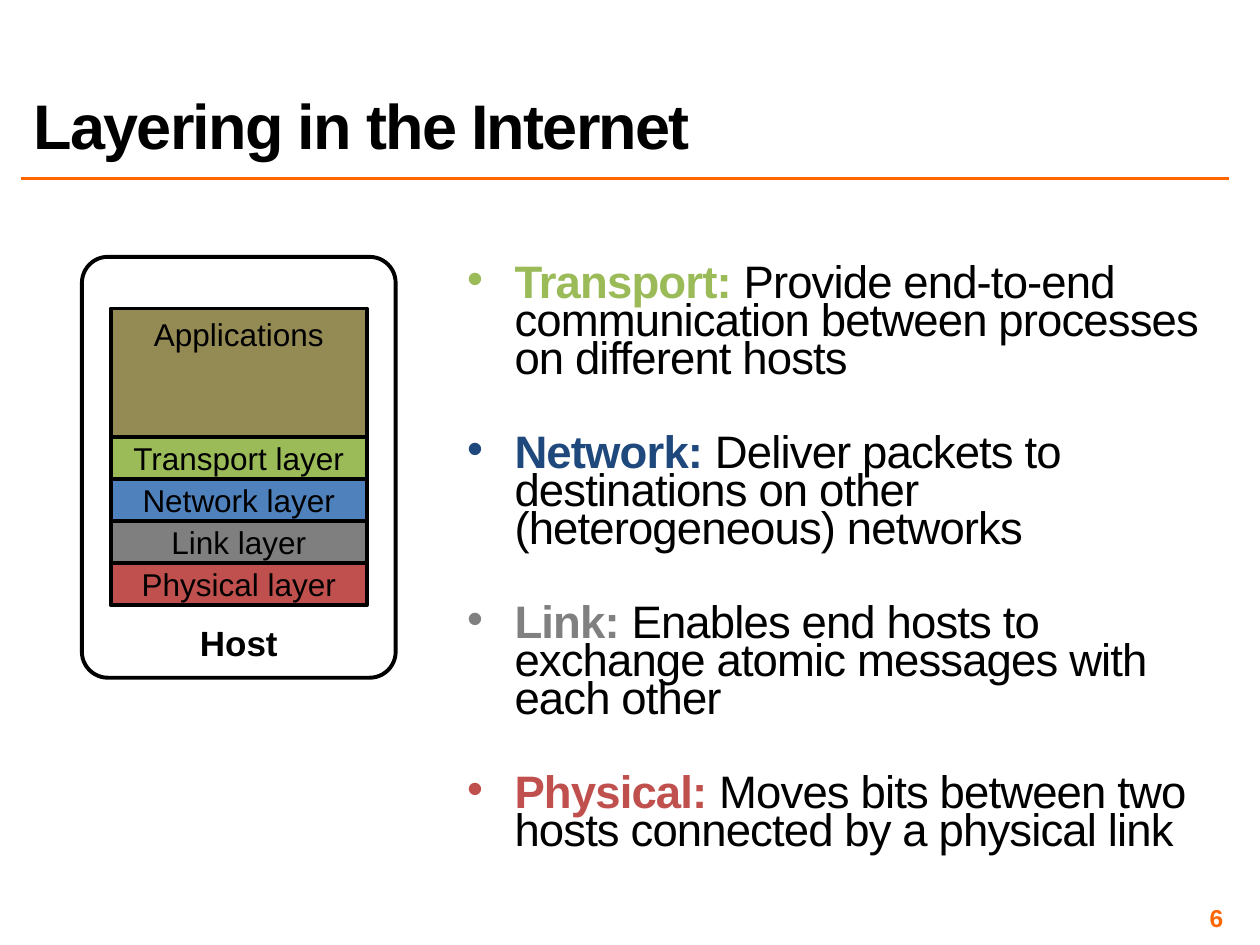
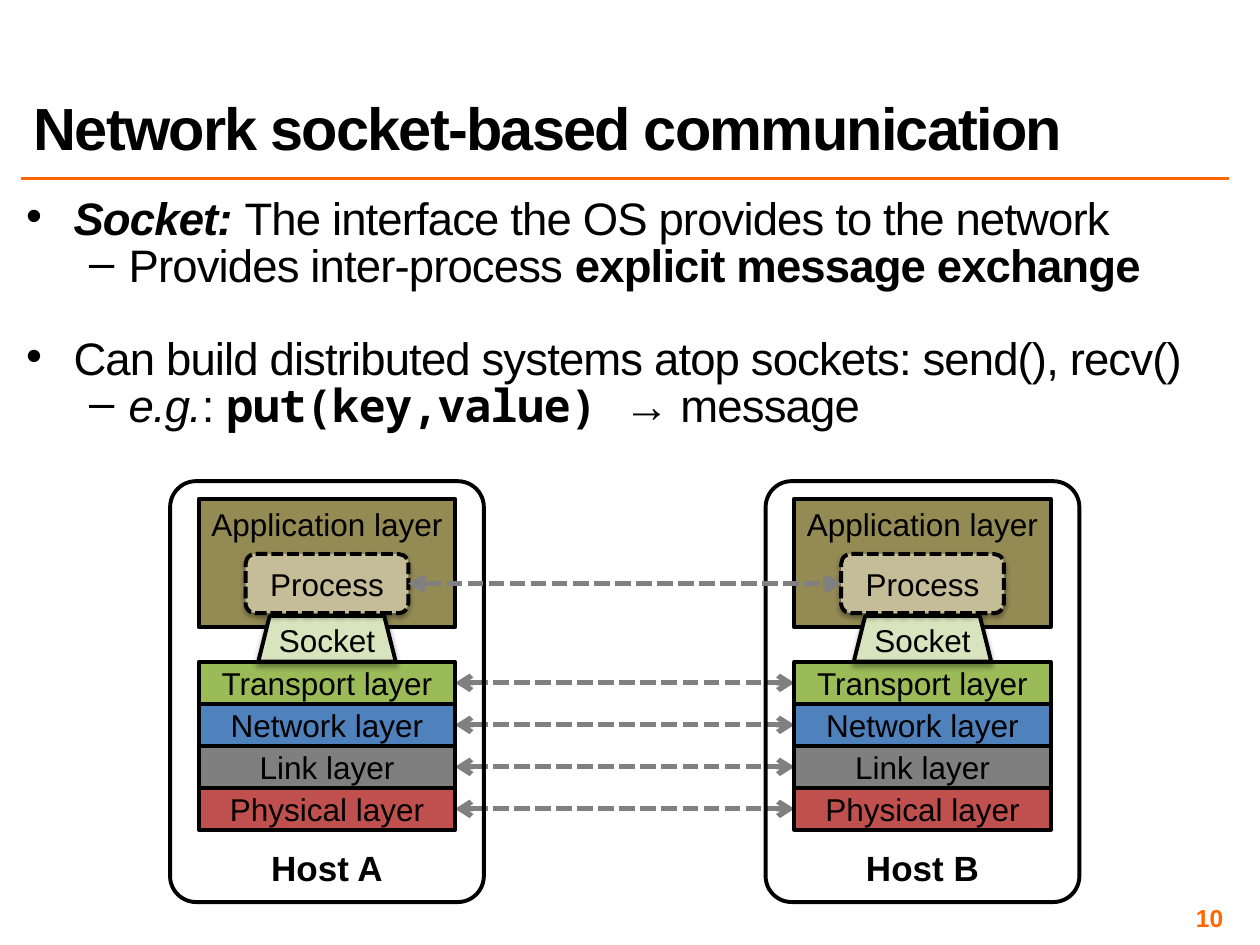
import pptx
import pptx.dml.color
import pptx.enum.dml
import pptx.enum.shapes
import pptx.enum.text
import pptx.oxml
import pptx.oxml.ns
import pptx.util

Pt = pptx.util.Pt
SHAPE = pptx.enum.shapes.MSO_SHAPE
ALIGN = pptx.enum.text.PP_ALIGN
ANCHOR = pptx.enum.text.MSO_ANCHOR
SYSTEM_DASH = pptx.enum.dml.MSO_LINE.SQUARE_DOT

BLACK, ORANGE, ARROW_GREY = "000000", "FF6600", "808080"
APPLICATION, PROCESS, SOCKET = "948A54", "C4BD97", "D7E4BD"
LAYERS = [
    ("Transport layer", "9BBB59"),
    ("Network layer", "4F81BD"),
    ("Link layer", "7F7F7F"),
    ("Physical layer", "C0504D"),
]

LAYER_ROLES = [
    (0, [("Transport:", {"bold": True, "color": "9BBB59"}),
         (" Provide end-to-end communication between processes on different hosts", {})]),
    (0, [("Network:", {"bold": True, "color": "1F497D"}),
         (" Deliver packets to destinations on other (heterogeneous) networks", {})]),
    (0, [("Link: ", {"bold": True, "color": "808080"}),
         ("Enables end hosts to exchange atomic messages with each other", {})]),
    (0, [("Physical:", {"bold": True, "color": "C0504D"}),
         (" Moves bits between two hosts connected by a physical link", {})]),
]
SOCKET_POINTS = [
    (0, [("Socket: ", {"bold": True, "italic": True}),
         ("The interface the OS provides to the network", {})]),
    (1, [("Provides inter-process ", {}),
         ("explicit message exchange", {"bold": True})]),
    (0, [("Can build distributed systems atop sockets: send(), recv()", {})]),
    (1, [("e.g.", {"italic": True}),
         (": ", {}),
         ("put(key,value) ", {"bold": True, "font": "Noto Sans Mono"}),
         ("→ message", {})]),
]

BULLETS = [("•", 27, -27), ("–", 58.5, -22.5)]
LINE_GAP, GROUP_GAP = 4.9, 31.7
MARGIN, CONTENT_WIDTH, BODY_TOP = 12, 690, 114
HOST_WIDTH, HOST_HEIGHT = 179.3, 240.5
STACK_WIDTH, APPLICATION_HEIGHT, LAYER_HEIGHT = 146.4, 73.5, 24


def rgb(color):
    return pptx.dml.color.RGBColor.from_string(color)


def xml(markup):
    return pptx.oxml.parse_xml(markup.replace("/>", f" {pptx.oxml.ns.nsdecls('a')}/>", 1)
                               if markup.endswith("/>") and markup.count("<") == 1
                               else markup.replace(">", f" {pptx.oxml.ns.nsdecls('a')}>", 1))


def add_run(paragraph, text, size, color=BLACK, bold=False, italic=False,
            font="Arial", spacing=0):
    run = paragraph.add_run()
    run.text = text
    run.font.size = Pt(size)
    run.font.name = font
    run.font.bold = bold
    run.font.italic = italic
    run.font.color.rgb = rgb(color)
    if spacing:
        run.font._element.set("spc", str(spacing))


def place(shape, left, top, width, height):
    shape.left, shape.top, shape.width, shape.height = map(Pt, (left, top, width, height))


def set_insets(frame, inset):
    frame.margin_left = frame.margin_right = Pt(inset)
    frame.margin_top = frame.margin_bottom = Pt(inset)


def add_line(slide, color, width, ends=(0, 0, 0, 0)):
    line = slide.shapes.add_connector(pptx.enum.shapes.MSO_CONNECTOR.STRAIGHT, *map(Pt, ends))
    line.line.color.rgb = rgb(color)
    line.line.width = Pt(width)
    line.element.spPr.append(xml("<a:effectLst/>"))
    return line


def add_exchange(slide, first, second, behind=None):
    arrow = add_line(slide, ARROW_GREY, 3)
    arrow.begin_connect(first, 3)
    arrow.end_connect(second, 1)
    arrow.line.dash_style = SYSTEM_DASH
    outline = arrow.element.spPr.find(pptx.oxml.ns.qn("a:ln"))
    for end in ("headEnd", "tailEnd"):
        outline.append(xml(f'<a:{end} type="arrow"/>'))
    if behind is not None:
        behind.element.addprevious(arrow.element)


def add_box(slide, kind, area, text, fill=None, size=18, bold=False,
            anchor=ANCHOR.MIDDLE, wrap=False, raised=False):
    box = slide.shapes.add_shape(kind, *map(Pt, area))
    box.shadow.inherit = False
    if raised:
        effects = box.element.spPr.find(pptx.oxml.ns.qn("a:effectLst"))
        effects.append(xml(
            '<a:outerShdw blurRad="39370" dist="22860" dir="5400000" rotWithShape="0">'
            '<a:srgbClr val="000000"><a:alpha val="35000"/></a:srgbClr></a:outerShdw>'))
    if fill:
        box.fill.solid()
        box.fill.fore_color.rgb = rgb(fill)
    else:
        box.fill.background()
    box.line.color.rgb = rgb(BLACK)
    box.line.width = Pt(2.25)
    frame = box.text_frame
    frame.word_wrap = wrap
    frame.vertical_anchor = anchor
    frame.paragraphs[0].alignment = ALIGN.CENTER
    add_run(frame.paragraphs[0], text, size, bold=bold)
    return box


def add_host(slide, name, left, top, application, application_offset, layers_offset):
    center = left + HOST_WIDTH / 2
    stack_left = center - STACK_WIDTH / 2
    boxes = [add_box(slide, SHAPE.RECTANGLE,
                     (stack_left, top + application_offset, STACK_WIDTH, APPLICATION_HEIGHT),
                     application, APPLICATION, anchor=ANCHOR.TOP)]
    for index, (label, color) in enumerate(LAYERS):
        layer_top = top + layers_offset + index * LAYER_HEIGHT
        boxes.append(add_box(slide, SHAPE.RECTANGLE,
                             (stack_left, layer_top, STACK_WIDTH, LAYER_HEIGHT), label, color))
    host = add_box(slide, SHAPE.ROUNDED_RECTANGLE, (left, top, HOST_WIDTH, HOST_HEIGHT), name,
                   size=20, bold=True, anchor=ANCHOR.BOTTOM, wrap=True)
    host.adjustments[0] = 0.083
    return boxes


def add_process(slide, left, top):
    center = left + HOST_WIDTH / 2
    add_box(slide, SHAPE.TRAPEZOID, (center - 39.25, top + 77, 78.5, 26), "Socket",
            SOCKET, wrap=True, raised=True)
    process = add_box(slide, SHAPE.FLOWCHART_ALTERNATE_PROCESS,
                      (center - 46.5, top + 41.6, 93, 33.8), "Process",
                      PROCESS, wrap=True, raised=True)
    process.line.dash_style = SYSTEM_DASH
    return process


def fill_body(body, points, left, width, height, first_offset):
    place(body, left, BODY_TOP, width, height)
    frame = body.text_frame
    frame.auto_size = pptx.enum.text.MSO_AUTO_SIZE.NONE
    frame.vertical_anchor = ANCHOR.TOP
    set_insets(frame, 3)
    frame.margin_top = Pt(3 + first_offset)
    for index, (level, runs) in enumerate(points):
        paragraph = frame.add_paragraph() if index else frame.paragraphs[0]
        paragraph.level = level
        paragraph.line_spacing = 0.7
        paragraph.space_before = Pt(GROUP_GAP if index and level == 0 else LINE_GAP)
        paragraph.space_after = Pt(0)
        symbol, margin, indent = BULLETS[level]
        properties = paragraph._p.get_or_add_pPr()
        properties.set("marL", str(Pt(margin)))
        properties.set("indent", str(Pt(indent)))
        properties.append(xml('<a:buFont typeface="Arial"/>'))
        properties.append(xml(f'<a:buChar char="{symbol}"/>'))
        for text, style in runs:
            add_run(paragraph, text, 26, spacing=-50, **style)


def add_slide(presentation, title, title_size, number):
    slide = presentation.slides.add_slide(presentation.slide_layouts[1])
    add_line(slide, ORANGE, 2, (MARGIN, 102, MARGIN + CONTENT_WIDTH, 102))
    place(slide.shapes.title, MARGIN, 12, CONTENT_WIDTH, 84)
    frame = slide.shapes.title.text_frame
    frame.auto_size = pptx.enum.text.MSO_AUTO_SIZE.NONE
    frame.vertical_anchor = ANCHOR.BOTTOM
    paragraph = frame.paragraphs[0]
    paragraph.alignment = ALIGN.LEFT
    paragraph.line_spacing = 0.8
    add_run(paragraph, title, title_size, bold=True, spacing=-100)

    footer = slide.shapes.add_textbox(*map(Pt, (534, 516, 168, 16.8))).text_frame
    footer.word_wrap = True
    footer.vertical_anchor = ANCHOR.MIDDLE
    set_insets(footer, 3)
    footer.paragraphs[0].alignment = ALIGN.RIGHT
    add_run(footer.paragraphs[0], number, 14, ORANGE, bold=True)
    return slide


def build_layering(presentation):
    slide = add_slide(presentation, "Layering in the Internet", 36, "6")
    fill_body(slide.placeholders[1], LAYER_ROLES, 264, 438, 383, 36)
    add_host(slide, "Host", 46.8, 146.8, "Applications", 29.5, 103)


def build_sockets(presentation):
    slide = add_slide(presentation, "Network socket-based communication", 34, "10")
    fill_body(slide.placeholders[1], SOCKET_POINTS, MARGIN, CONTENT_WIDTH, 152, 0)
    top = 275
    stacks, processes = [], []
    for name, left in (("Host A", 97.2), ("Host B", 437.5)):
        stacks.append(add_host(slide, name, left, top, "Application layer", 10, 103.2))
        processes.append(add_process(slide, left, top))
    for first, second in list(zip(*stacks))[1:]:
        add_exchange(slide, first, second, behind=stacks[0][0])
    add_exchange(slide, *processes)


def main():
    presentation = pptx.Presentation()
    presentation.slide_width, presentation.slide_height = Pt(720), Pt(540)
    build_layering(presentation)
    build_sockets(presentation)
    presentation.save("out.pptx")


if __name__ == "__main__":
    main()
